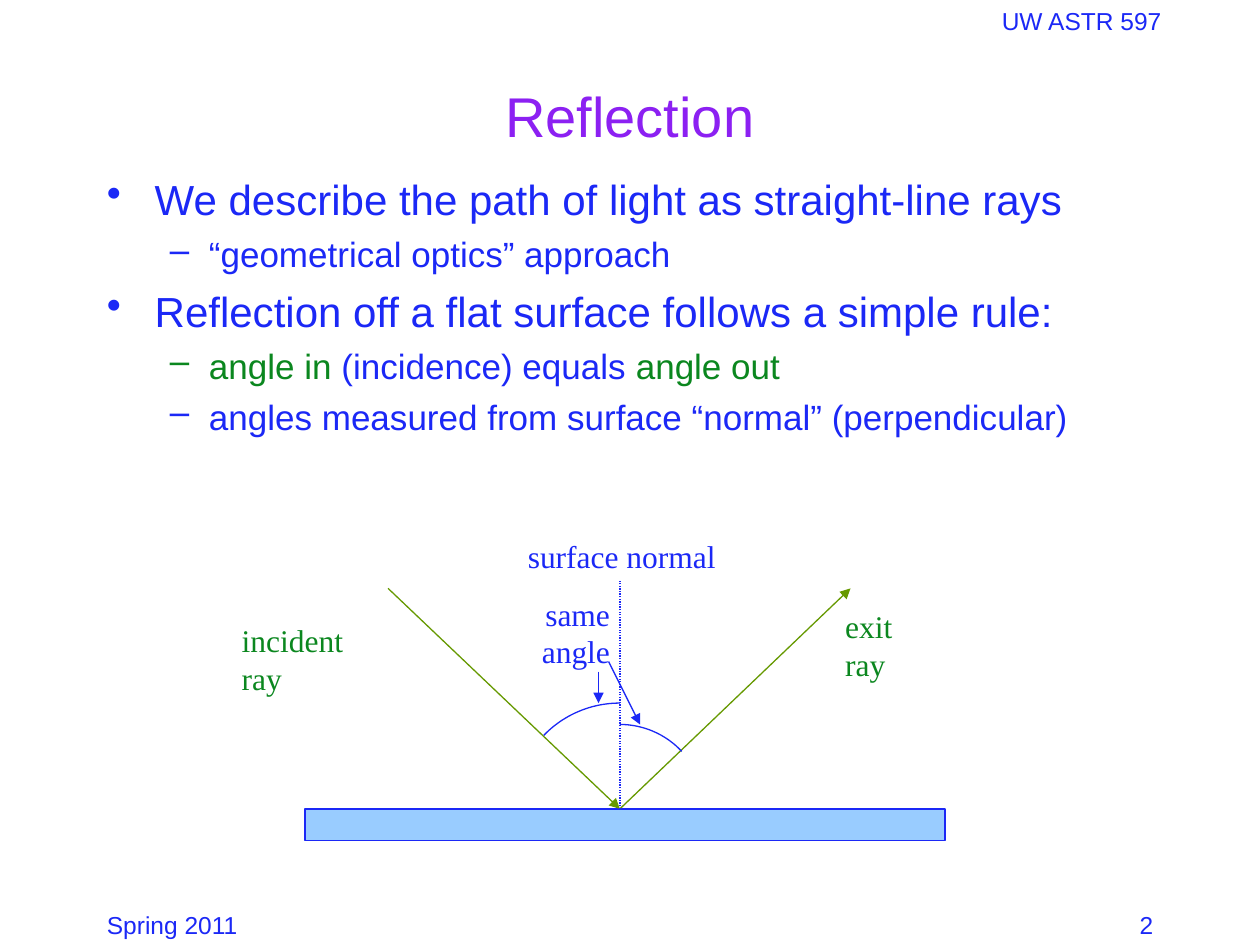
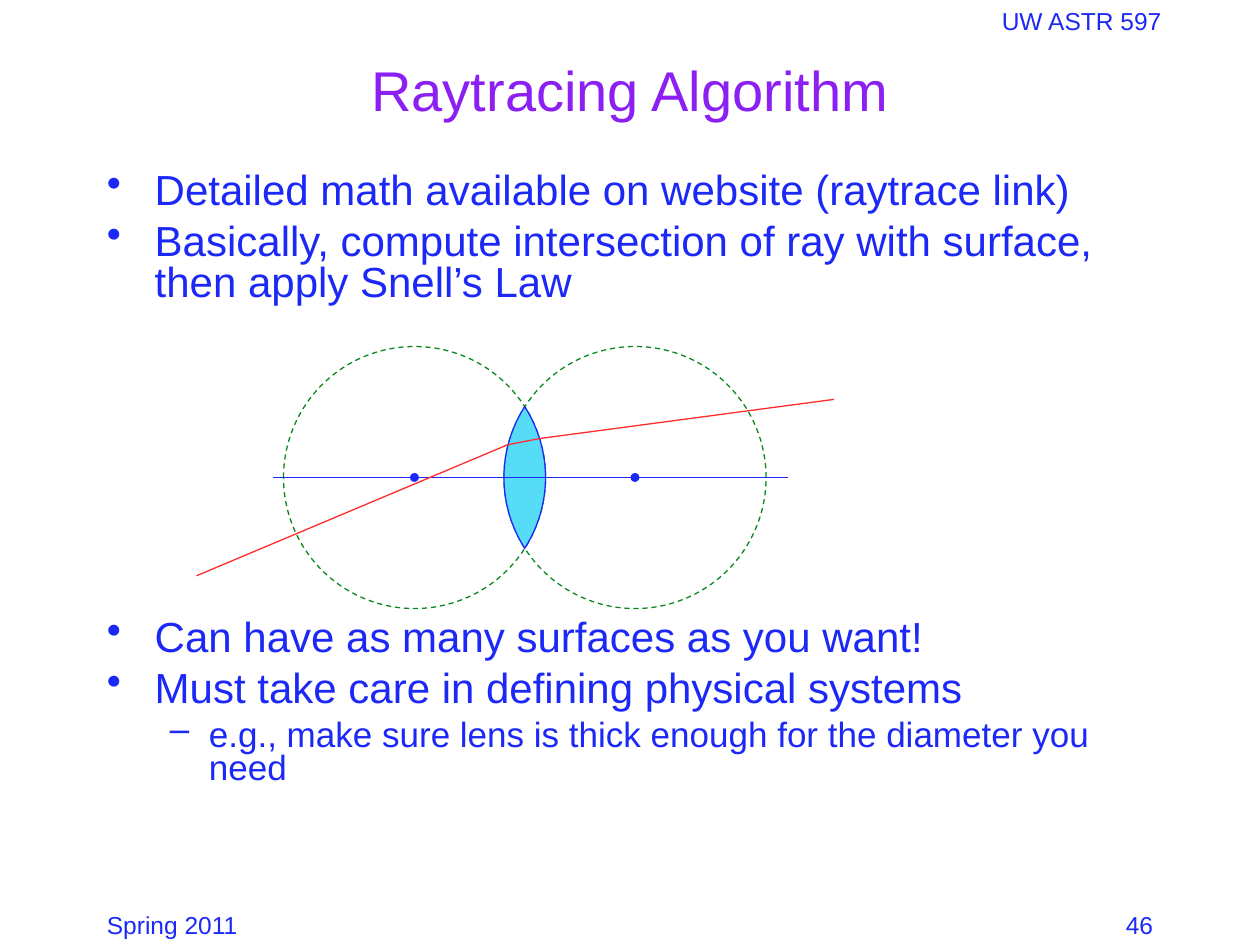
from dataclasses import dataclass
from math import acos, cos, degrees, radians, sin
from typing import Optional

from lxml.etree import SubElement
from pptx import Presentation
from pptx.dml.color import RGBColor
from pptx.enum.dml import MSO_LINE as Dash
from pptx.enum.shapes import MSO_CONNECTOR, MSO_SHAPE as Shape
from pptx.enum.text import MSO_ANCHOR as Anchor, PP_ALIGN as Align
from pptx.oxml.ns import qn
from pptx.util import Pt

PX = 9144  # 100 px to the inch
LINE_WIDTH = Pt(0.75)
SANS, SERIF = "Arial", "Times New Roman"
COLORS = {
    "blue": "1B28F6",
    "purple": "8C20F2",
    "green": "0B871F",
    "ray": "669900",
    "mirror": "99CCFF",
    "lens": "57DCF7",
    "red": "FF2C2C",
}
Point = tuple[float, float]
Box = tuple[int, int, int, int]


@dataclass(frozen=True)
class Run:
    text: str
    color: Optional[str] = None


@dataclass(frozen=True)
class Level:
    mark: str
    size: int
    margin: int
    hang: int
    before: int


@dataclass(frozen=True)
class Item:
    runs: tuple[Run, ...]
    level: int = 0
    gap: int = 0  # extra points above, leaving room for a drawing


@dataclass(frozen=True)
class Label:
    text: str
    box: Box
    color: str = "blue"
    align: Align = Align.LEFT


@dataclass(frozen=True)
class Line:
    start: Point
    end: Point
    color: str = "blue"
    arrow: bool = False
    dash: Optional[Dash] = None


LEVELS = (Level("•", 24, 38, 38, 6), Level("–", 20, 81, 31, 5))


def emu(value: float) -> int:
    return round(value * PX)


def rgb(name: str) -> RGBColor:
    return RGBColor.from_string(COLORS[name])


# Text

def add_run(p, text: str, *, size: int, color: str, font: str) -> None:
    r = p.add_run()
    r.text = text
    r.font.size, r.font.name = Pt(size), font
    r.font.color.rgb = rgb(color)


def add_text(slide, box: Box, text: str = "", *, size: int = 14, color: str = "blue",
             font: str = SANS, align: Align = Align.LEFT,
             anchor: Anchor = Anchor.TOP, wrap: bool = True):
    tf = slide.shapes.add_textbox(*map(emu, box)).text_frame
    tf.word_wrap, tf.vertical_anchor = wrap, anchor
    for i, row in enumerate(text.split("\n") if text else []):
        p = tf.add_paragraph() if i else tf.paragraphs[0]
        p.alignment = align
        add_run(p, row, size=size, color=color, font=font)
    return tf


def item(*parts: str | Run, level: int = 0, gap: int = 0) -> Item:
    return Item(tuple(s if isinstance(s, Run) else Run(s) for s in parts), level, gap)


def add_body(slide, box: Box, items: list[Item], *, spacing: float = 1.0) -> None:
    tf = add_text(slide, box)
    for i, it in enumerate(items):
        lv = LEVELS[it.level]
        p = tf.add_paragraph() if i else tf.paragraphs[0]
        p.level, p.line_spacing = it.level, spacing
        p.space_before = Pt(lv.before + it.gap)
        pPr = p._p.get_or_add_pPr()
        pPr.set("marL", str(emu(lv.margin)))
        pPr.set("indent", str(-emu(lv.hang)))
        SubElement(pPr, qn("a:buChar")).set("char", lv.mark)
        for run in it.runs:
            add_run(p, run.text, size=lv.size, color=run.color or "blue", font=SANS)


# Shapes and lines

def paint(sp, *, fill: Optional[str] = None, line: str = "blue",
          dash: Optional[Dash] = None) -> None:
    sp.shadow.inherit = False
    if fill:
        sp.fill.solid()
        sp.fill.fore_color.rgb = rgb(fill)
    else:
        sp.fill.background()
    sp.line.color.rgb, sp.line.width = rgb(line), LINE_WIDTH
    if dash:
        sp.line.dash_style = dash


def add_preset(slide, kind: Shape, box: Box, **style) -> None:
    paint(slide.shapes.add_shape(kind, *map(emu, box)), **style)


def add_circle(slide, center: Point, radius: int, **style) -> None:
    x, y = center
    add_preset(slide, Shape.OVAL, (x - radius, y - radius, 2 * radius, 2 * radius), **style)


def add_line(slide, line: Line) -> None:
    c = slide.shapes.add_connector(MSO_CONNECTOR.STRAIGHT,
                                   *map(emu, line.start + line.end))
    c.line.color.rgb, c.line.width = rgb(line.color), LINE_WIDTH
    if line.dash:
        c.line.dash_style = line.dash
    if line.arrow:
        SubElement(c.line._get_or_add_ln(), qn("a:tailEnd")).set("type", "triangle")
    SubElement(c._element.spPr, qn("a:effectLst"))


def arc(center: Point, radius: float, start: float, end: float) -> list[Point]:
    """Points along an arc; degrees run clockwise from the right."""
    steps = 24
    angles = [radians(start + (end - start) * i / steps) for i in range(steps + 1)]
    return [(center[0] + radius * cos(a), center[1] + radius * sin(a)) for a in angles]


def add_path(slide, points: list[Point], *, close: bool = False, **style) -> None:
    pts = [(emu(x), emu(y)) for x, y in points]
    fb = slide.shapes.build_freeform(*pts[0])
    fb.add_line_segments(pts[1:], close=close)
    paint(fb.convert_to_shape(), **style)


# Slides

def new_slide(prs, title: str, title_box: Box, number: int):
    slide = prs.slides.add_slide(prs.slide_layouts[6])
    add_text(slide, (75, 717, 208, 50), "Spring 2011")
    add_text(slide, (700, 0, 317, 50), "UW ASTR 597", align=Align.CENTER)
    add_text(slide, (717, 717, 208, 50), str(number), align=Align.RIGHT)
    add_text(slide, title_box, title, size=32, color="purple",
             align=Align.CENTER, anchor=Anchor.MIDDLE)
    return slide


def reflection(prs) -> None:
    slide = new_slide(prs, "Reflection", (75, 50, 850, 83), 2)
    add_body(slide, (75, 133, 850, 508), [
        item("We describe the path of light as straight-line rays"),
        item("“geometrical optics” approach", level=1),
        item("Reflection off a flat surface follows a simple rule:"),
        item(Run("angle in", "green"), " (incidence) equals ",
             Run("angle out", "green"), level=1),
        item("angles measured from surface “normal” (perpendicular)", level=1),
    ])

    # Mirror, rays and surface normal
    hit = (492, 642)
    add_preset(slide, Shape.RECTANGLE, (242, 642, 508, 25), fill="mirror")
    for line in (
        Line((308, 467), hit, "ray", arrow=True),
        Line(hit, (675, 467), "ray", arrow=True),
        Line(hit, (492, 461), dash=Dash.ROUND_DOT),
        Line((483, 525), (508, 575), arrow=True),
        Line((475, 533), (475, 558), arrow=True),
    ):
        add_line(slide, line)

    # Equal angles on both sides of the normal
    for radius, turn in ((67, 47), (84, -46)):
        add_path(slide, arc(hit, radius, -90, -90 + turn))

    for label in (
        Label("surface normal", (409, 421, 169, 40)),
        Label("same\nangle", (420, 467, 74, 70), align=Align.RIGHT),
        Label("incident ray", (182, 488, 138, 40), "green"),
        Label("exit ray", (661, 477, 95, 40), "green"),
    ):
        add_text(slide, label.box, label.text, size=18, font=SERIF,
                 color=label.color, align=label.align, wrap=False)


def raytracing(prs) -> None:
    slide = new_slide(prs, "Raytracing Algorithm", (75, 8, 850, 125), 46)
    add_body(slide, (75, 133, 850, 550), [
        item("Detailed math available on website (raytrace link)"),
        item("Basically, compute intersection of ray with surface, "
             "then apply Snell’s Law"),
        item("Can have as many surfaces as you want!", gap=174),
        item("Must take care in defining physical systems"),
        item("e.g., make sure lens is thick enough for the diameter you need", level=1),
    ], spacing=0.8)

    # Two spheres; the lens is where they overlap
    left, right, radius = (329, 379), (504, 379), 104
    for center in (left, right):
        add_circle(slide, center, radius, line="green", dash=Dash.DASH)
    half = degrees(acos((right[0] - left[0]) / 2 / radius))
    outline = arc(left, radius, -half, half) + arc(right, radius, 180 - half, 180 + half)
    add_path(slide, outline, close=True, fill="lens")

    # Optical axis, traced ray and sphere centres
    add_line(slide, Line((217, 379), (625, 379)))
    add_path(slide, [(156, 457), (403, 353), (429, 348), (662, 317)], line="red")
    for center in (left, right):
        add_circle(slide, center, 3, fill="blue")


def main() -> None:
    prs = Presentation()
    prs.slide_width, prs.slide_height = emu(1000), emu(750)
    reflection(prs)
    raytracing(prs)
    prs.save("out.pptx")


if __name__ == "__main__":
    main()
